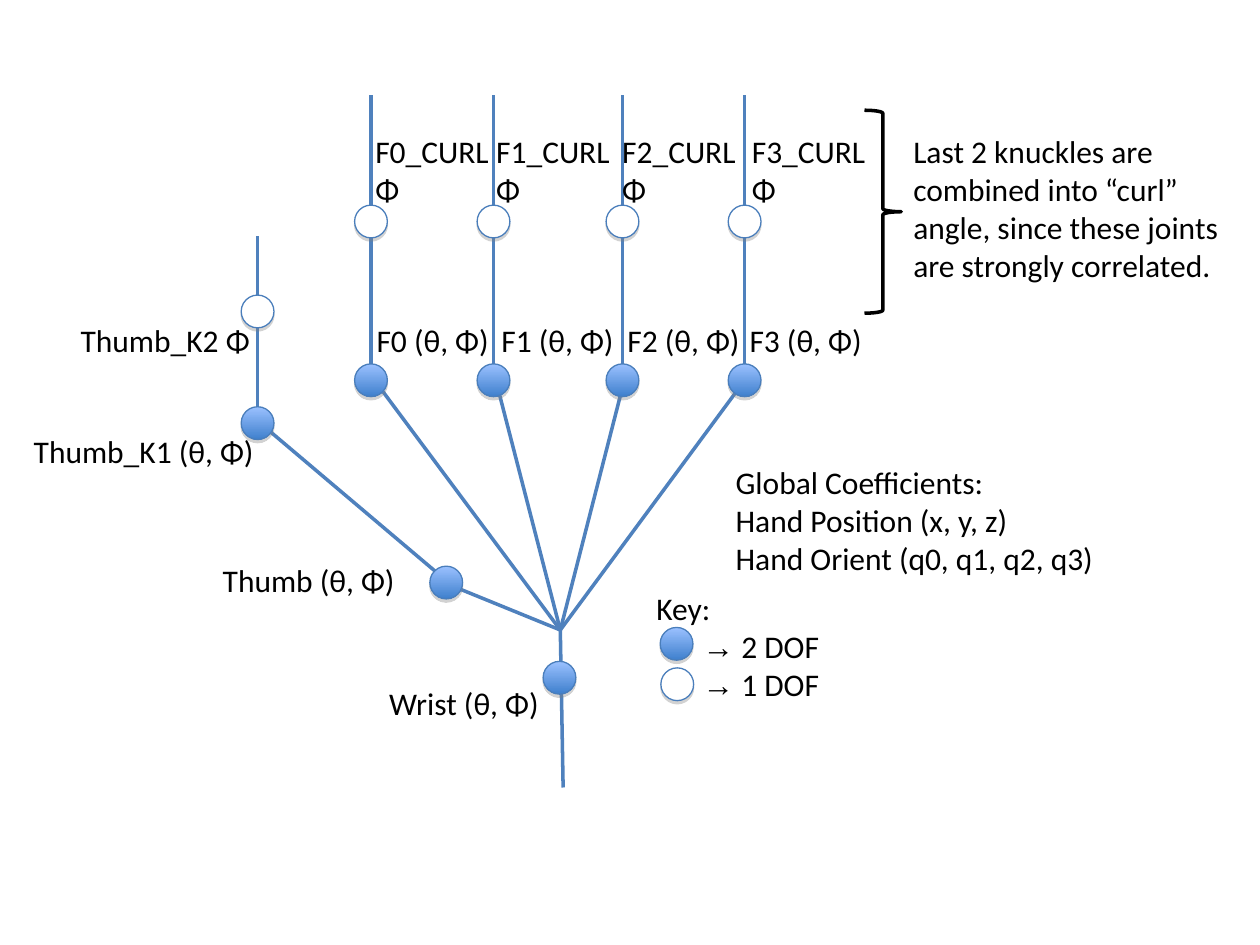
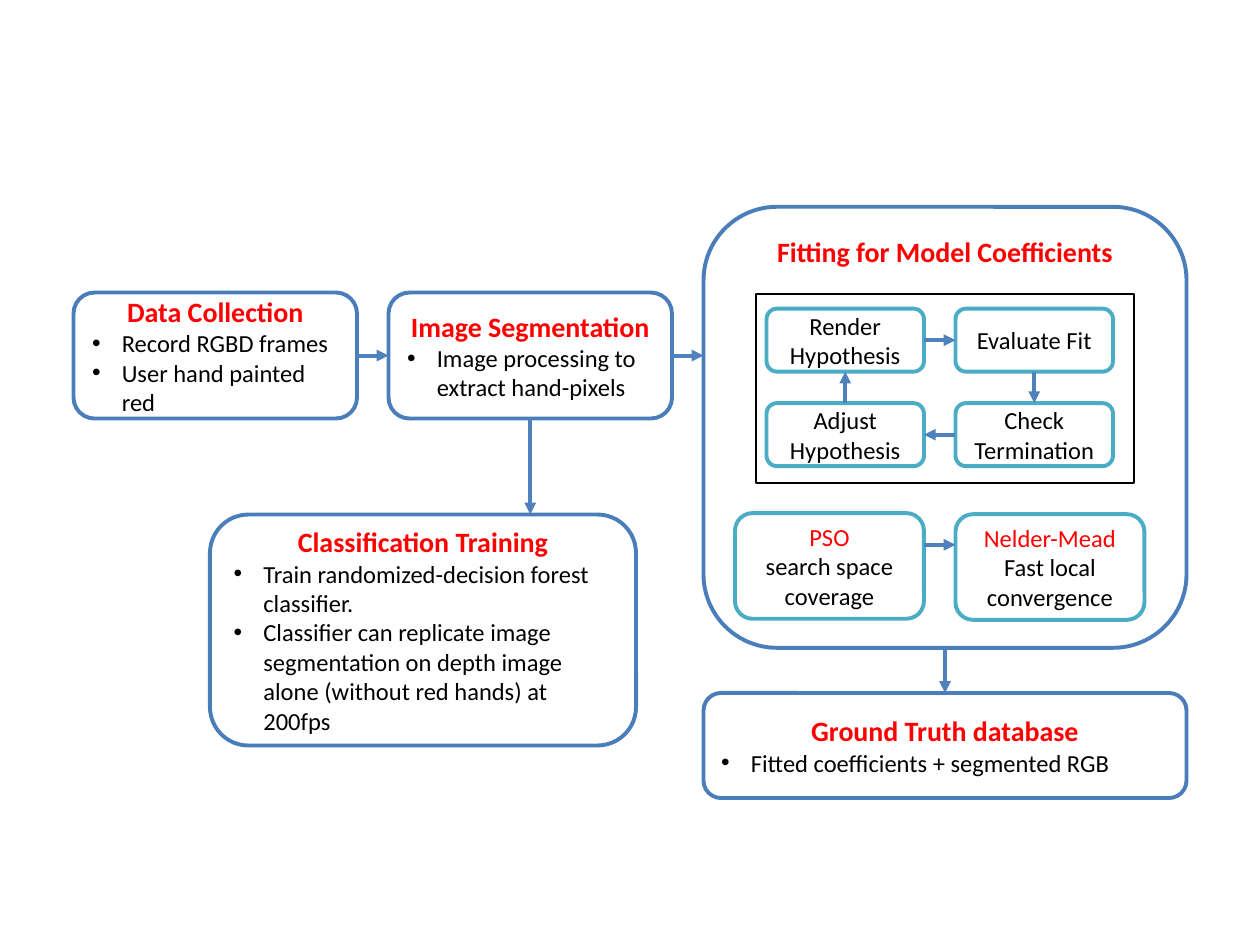
from lxml.etree import SubElement
from pptx import Presentation
from pptx.dml.color import RGBColor
from pptx.enum.shapes import MSO_CONNECTOR as Connector, MSO_SHAPE as Shape
from pptx.enum.text import MSO_ANCHOR as Anchor, PP_ALIGN as Align
from pptx.oxml.ns import qn
from pptx.util import Pt

# Shared style
COLORS = {
    "bone": "4F81BD", "outline": "4A7EBB", "step": "4BACC6", "heading": "FF0000",
    "ink": "000000", "paper": "FFFFFF", "shine": "9BC1FF", "deep": "3F80CD",
    "shadow": "808080",
}
FONT, SYMBOL_FONT = "Calibri", "Arial"
JOINT_SIZE = 18.75
BULLET_INDENT = 17
KEY_INDENT = 26.5

# Hand model: each finger has a bone x, the end of its palm bone and label lefts
PALM = (320.2, 360)
FINGERS = [
    ("F0", 212, (218.9, 223.9), 208.1, 207.4),
    ("F1", 282, (283, 216), 279.4, 276.5),
    ("F2", 355.7, (357.1, 216), 351.4, 348.5),
    ("F3", 425.5, (425.5, 217.4), 421.2, 422.6),
]
FINGER_TIP, CURL_Y, KNUCKLE_Y = 54, 126.6, 217.3
THUMB_X = 147.2
OTHER_BONES = [
    (PALM, (254.9, 333.4)), ((248.4, 326.2), (145.4, 239)),
    ((THUMB_X, 240.5), (THUMB_X, 135)), ((321.8, 450), PALM),
]
OTHER_JOINTS = [  # centre x, centre y, degrees of freedom
    (255, 332.9, 2), (319.7, 387.3, 2), (THUMB_X, 241.8, 2), (THUMB_X, 178, 1),
    (386.6, 367.9, 2), (387, 391, 1),
]
NOTES = [  # left, top, width, height, lines
    (215.3, 387.3, 153, 29, ["Wrist (θ, Φ)"]),
    (120.2, 316.8, 153, 29, ["Thumb (θ, Φ)"]),
    (12.2, 243.2, 153, 29, ["Thumb_K1 (θ, Φ)"]),
    (39, 180, 153, 29, ["Thumb_K2 Φ"]),
    (413.3, 261.2, 294, 72, ["Global Coefficients:", "Hand Position (x, y, z)",
                             "Hand Orient (q0, q1, q2, q3)"]),
    (514.8, 72, 199.5, 94, ["Last 2 knuckles are combined into “curl” angle, "
                            "since these joints are strongly correlated."]),
]
KEY = (368, 333.2, 294, 72)
KEY_ENTRIES = [" 2 DOF", " 1 DOF"]
BRACE = (494, 63, 21, 116)

# Pipeline: left, top, width, height, heading, bullets
LOOP_FRAME = (432, 168, 216, 108)
STAGES = {
    "collect": (42, 167.2, 162, 72, "Data Collection",
                ["Record RGBD frames", "User hand painted red"]),
    "segment": (222, 167.2, 162, 72, "Image Segmentation",
                ["Image processing to extract hand-pixels"]),
    "fit": (402, 118.2, 276, 252, "Fitting for Model Coefficients", []),
    "train": (120, 294, 243.5, 132, "Classification Training",
              ["Train randomized-decision forest classifier.",
               "Classifier can replicate image segmentation on depth image "
               "alone (without red hands) at 200fps"]),
    "truth": (402, 396, 276, 60, "Ground Truth database",
              ["Fitted coefficients + segmented RGB"]),
}
# Steps inside the fitting stage: left, top, width, height, red name, text
STEPS = {
    "render": (438, 176.4, 90, 36, None, "Render Hypothesis"),
    "evaluate": (546, 176.4, 90, 36, None, "Evaluate Fit"),
    "adjust": (438, 230.4, 90, 36, None, "Adjust Hypothesis"),
    "check": (546, 230.4, 90, 36, None, "Check Termination"),
    "pso": (420, 293.2, 108, 60.4, "PSO", "search space coverage"),
    "simplex": (546, 293.8, 108, 60.4, "Nelder-Mead", "Fast local convergence"),
}
ARROWS = [  # from, to, direction, place along the side it leaves
    ("collect", "segment", "right", 0.5), ("segment", "fit", "right", 0.5),
    ("segment", "train", "down", 0.5), ("fit", "truth", "down", 0.5),
    ("render", "evaluate", "right", 0.5), ("evaluate", "check", "down", 0.5),
    ("check", "adjust", "left", 0.5), ("adjust", "render", "up", 0.5),
    ("pso", "simplex", "right", 0.3),
]


def rgb(name):
    return RGBColor.from_string(COLORS[name])


def points(values):
    return [Pt(value) for value in values]


def style(para, size, color="ink", bold=False, align=Align.LEFT):
    para.alignment = align
    for span in para.runs:
        span.font.name, span.font.size, span.font.bold = FONT, Pt(size), bold
        span.font.color.rgb = rgb(color)


def write(frame, lines):
    """Fill a frame with one paragraph per line and return the paragraphs."""
    frame.word_wrap = True
    frame.text = "\n".join(lines)
    return frame.paragraphs


def add_outline(page, kind, place, color, width, fill=None):
    box = page.shapes.add_shape(kind, *points(place))
    if fill:
        box.fill.solid()
        box.fill.fore_color.rgb = rgb(fill)
    else:
        box.fill.background()
    box.line.color.rgb = rgb(color)
    box.line.width = Pt(width)
    box.shadow.inherit = False
    return box


def add_line(page, start, end, width, arrow=False):
    line = page.shapes.add_connector(Connector.STRAIGHT, *points((*start, *end)))
    line.line.color.rgb = rgb("bone")
    line.line.width = Pt(width)
    if arrow:
        SubElement(line.line._get_or_add_ln(), qn("a:tailEnd"), type="triangle")
    SubElement(line._element.spPr, qn("a:effectLst"))


def add_joint(page, x, y, freedom):
    place = (x - JOINT_SIZE / 2, y - JOINT_SIZE / 2, JOINT_SIZE, JOINT_SIZE)
    joint = add_outline(page, Shape.OVAL, place, "outline", 0.75, "paper")
    if freedom == 2:
        joint.fill.gradient()
        joint.fill.gradient_angle = 270
        for stop, color, position in zip(joint.fill.gradient_stops, ("shine", "deep"), (0, 1)):
            stop.color.rgb = rgb(color)
            stop.position = position
    effects = joint._element.spPr.find(qn("a:effectLst"))
    shadow = SubElement(effects, qn("a:outerShdw"), dist=str(Pt(1.8)),
                        dir="5400000", rotWithShape="0")
    tint = SubElement(shadow, qn("a:srgbClr"), val=COLORS["shadow"])
    SubElement(tint, qn("a:alpha"), val="35000")


def add_note(page, place, lines):
    paras = write(page.shapes.add_textbox(*points(place)).text_frame, lines)
    for para in paras:
        style(para, 18)
    return paras


def add_bullet(para):
    props = para._p.get_or_add_pPr()
    props.set("marL", str(Pt(BULLET_INDENT)))
    props.set("indent", str(-Pt(BULLET_INDENT)))
    SubElement(SubElement(props, qn("a:buClr")), qn("a:srgbClr"), val=COLORS["ink"])
    SubElement(props, qn("a:buFont"), typeface=SYMBOL_FONT)
    SubElement(props, qn("a:buChar"), char="•")


def add_stage(page, left, top, width, height, heading, bullets):
    box = add_outline(page, Shape.ROUNDED_RECTANGLE, (left, top, width, height), "outline", 2.25)
    box.text_frame.vertical_anchor = Anchor.MIDDLE if bullets else Anchor.TOP
    title, *items = write(box.text_frame, [heading, *bullets])
    style(title, 16, "heading", True, Align.CENTER)
    for item in items:
        add_bullet(item)
        style(item, 14)


def add_step(page, left, top, width, height, name, text):
    box = add_outline(page, Shape.ROUNDED_RECTANGLE, (left, top, width, height), "step", 2.25)
    box.text_frame.vertical_anchor = Anchor.MIDDLE
    paras = write(box.text_frame, [name, text] if name else [text])
    for para in paras:
        style(para, 14, "heading" if para.text == name else "ink", align=Align.CENTER)


def arrow_ends(source, target, direction, share):
    """Run straight from one side of the source to the facing side of the target."""
    left, top, width, height = source[:4]
    to_left, to_top, to_width, to_height = target[:4]
    x, y = left + width * share, top + height * share
    return {
        "right": ((left + width, y), (to_left, y)),
        "left": ((left, y), (to_left + to_width, y)),
        "down": ((x, top + height), (x, to_top)),
        "up": ((x, top), (x, to_top + to_height)),
    }[direction]


def build_hand(page):
    # Bones
    for start, end in OTHER_BONES:
        add_line(page, start, end, 2)
    for _, x, palm_end, _, _ in FINGERS:
        add_line(page, PALM, palm_end, 2)
        add_line(page, (x, 216), (x, FINGER_TIP), 2)

    # Joints
    for joint in OTHER_JOINTS:
        add_joint(page, *joint)
    for _, x, _, _, _ in FINGERS:
        add_joint(page, x, KNUCKLE_Y, 2)
        add_joint(page, x, CURL_Y, 1)

    # Labels
    for finger, _, _, knuckle_left, curl_left in FINGERS:
        add_note(page, (knuckle_left, 180, 82, 29), [f"{finger} (θ, Φ)"])
        add_note(page, (curl_left, 72, 81.4, 50.4), [f"{finger}_CURL Φ"])
    for *place, lines in NOTES:
        add_note(page, place, lines)
    add_outline(page, Shape.RIGHT_BRACE, BRACE, "ink", 2)

    # Key
    _, *rows = add_note(page, KEY, ["Key:", *"→" * len(KEY_ENTRIES)])
    for row, entry in zip(rows, KEY_ENTRIES):
        row._p.get_or_add_pPr().set("marL", str(Pt(KEY_INDENT)))
        row.add_run().text = entry
        style(row, 18)
        row.runs[0].font.name = SYMBOL_FONT


def build_pipeline(page):
    add_outline(page, Shape.RECTANGLE, LOOP_FRAME, "ink", 1.5, "paper")
    for stage in STAGES.values():
        add_stage(page, *stage)
    for step in STEPS.values():
        add_step(page, *step)
    boxes = {**STAGES, **STEPS}
    for source, target, direction, share in ARROWS:
        start, end = arrow_ends(boxes[source], boxes[target], direction, share)
        add_line(page, start, end, 2.25, arrow=True)


def main():
    deck = Presentation()
    deck.slide_width, deck.slide_height = Pt(720), Pt(540)
    for build in (build_hand, build_pipeline):
        build(deck.slides.add_slide(deck.slide_layouts[6]))
    deck.save("out.pptx")


if __name__ == "__main__":
    main()
